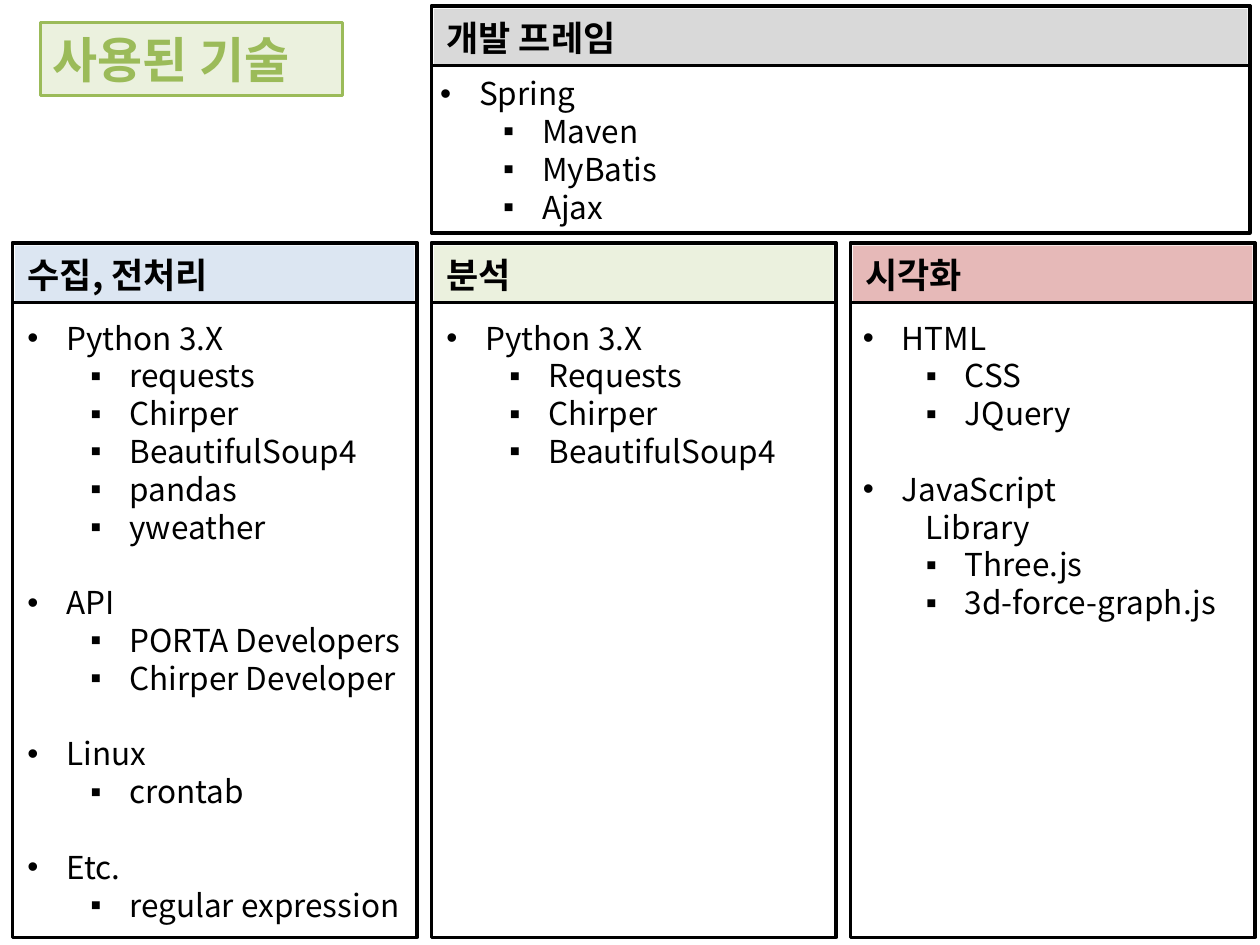
from dataclasses import dataclass

from lxml import etree
from pptx import Presentation
from pptx.dml.color import RGBColor
from pptx.enum import shapes, text
from pptx.oxml import ns
from pptx.util import Inches, Pt

FONT = "Noto Sans CJK KR"
BLACK = RGBColor(0x00, 0x00, 0x00)
GREEN = RGBColor(0x9B, 0xBB, 0x59)
PALE_GREEN = RGBColor(0xEB, 0xF1, 0xDE)
PALE_BLUE = RGBColor(0xDC, 0xE6, 0xF2)
PALE_RED = RGBColor(0xE6, 0xB9, 0xB8)
GREY = RGBColor(0xD9, 0xD9, 0xD9)

# Three columns and two rows of panels, in inches
MARGIN = 0.1
COLUMN_WIDTH = 3.21
COLUMN_STEP = 3.325
ROW_TOPS = (0.05, 1.93)
ROW_HEIGHTS = (1.8, 5.51)
HEADER_HEIGHT = 0.47
INSET = 0.02
LINE_PITCH = Pt(21.6)


@dataclass(frozen=True)
class Level:
    depth: int
    margin: float
    hanging: float
    bullet: str


TOPIC = Level(0, 0.31, 0.31, "•")
ITEM = Level(1, 0.81, 0.31, "▪")
CONTINUED = Level(1, 0.5, 0, "")


@dataclass(frozen=True)
class Group:
    topic: str
    items: tuple[str, ...]
    continued: str = ""

    def lines(self) -> list[tuple[str, Level]]:
        lines = [(self.topic, TOPIC)]
        if self.continued:
            lines.append((self.continued, CONTINUED))
        return lines + [(item, ITEM) for item in self.items]


@dataclass(frozen=True)
class Panel:
    heading: str
    color: RGBColor
    column: int
    row: int
    groups: tuple[Group, ...]
    columns: int = 1
    body_shift: float = INSET
    body_gap: float = 0.08


PANELS = (
    Panel("수집, 전처리", PALE_BLUE, 0, 1, (
        Group("Python 3.X", ("requests", "Chirper", "BeautifulSoup4", "pandas", "yweather")),
        Group("API", ("PORTA Developers", "Chirper Developer")),
        Group("Linux", ("crontab",)),
        Group("Etc.", ("regular expression",)),
    )),
    Panel("분석", PALE_GREEN, 1, 1, (
        Group("Python 3.X", ("Requests", "Chirper", "BeautifulSoup4")),
    )),
    Panel("시각화", PALE_RED, 2, 1, (
        Group("HTML", ("CSS", "JQuery")),
        Group("JavaScript", ("Three.js", "3d-force-graph.js"), "Library"),
    ), body_shift=0),
    Panel("개발 프레임", GREY, 1, 0, (
        Group("Spring", ("Maven", "MyBatis", "Ajax")),
    ), columns=2, body_shift=-0.03, body_gap=0.02),
)


def format_paragraph(para, size: float, color: RGBColor, bold: bool = False) -> None:
    para.alignment = text.PP_ALIGN.LEFT
    for span in para.runs:
        span.font.name = FONT
        span.font.size = Pt(size)
        span.font.bold = bold
        span.font.color.rgb = color
        latin = span.font._element.find(ns.qn("a:latin"))
        east_asian = etree.Element(ns.qn("a:ea"), typeface=FONT)
        latin.addnext(east_asian)


def set_level(para, level: Level) -> None:
    para.level = level.depth
    properties = para._p.get_or_add_pPr()
    properties.set("marL", str(Inches(level.margin)))
    properties.set("indent", str(-Inches(level.hanging)))
    if level.bullet:
        etree.SubElement(properties, ns.qn("a:buFont"), typeface="Arial")
        etree.SubElement(properties, ns.qn("a:buChar"), char=level.bullet)
    else:
        etree.SubElement(properties, ns.qn("a:buNone"))


def add_rectangle(page, left: float, top: float, width: float, height: float,
                  fill: RGBColor | None = None):
    """Draw a filled band without outline, or an outlined frame without fill."""
    box = page.shapes.add_shape(shapes.MSO_SHAPE.RECTANGLE, Inches(left), Inches(top),
                                Inches(width), Inches(height))
    box.shadow.inherit = False
    if fill is None:
        box.fill.background()
        box.line.color.rgb = BLACK
        box.line.width = Pt(2)
    else:
        box.fill.solid()
        box.fill.fore_color.rgb = fill
        box.line.fill.background()
    return box


def add_body(page, groups: tuple[Group, ...], left: float, top: float,
             width: float, height: float) -> None:
    box = page.shapes.add_textbox(Inches(left), Inches(top), Inches(width), Inches(height))
    frame = box.text_frame
    frame.word_wrap = True
    lines = [line for group in groups for line in group.lines()]
    frame.text = "\n".join(words for words, _ in lines)
    for index, (para, (_, level)) in enumerate(zip(frame.paragraphs, lines)):
        set_level(para, level)
        para.line_spacing = LINE_PITCH
        if index and level is TOPIC:
            para.space_before = LINE_PITCH
        format_paragraph(para, 18, BLACK)


def add_panel(page, panel: Panel) -> None:
    left = MARGIN + COLUMN_STEP * panel.column
    top = ROW_TOPS[panel.row]
    width = COLUMN_WIDTH + COLUMN_STEP * (panel.columns - 1) - 0.04 * (panel.columns - 1)
    height = ROW_HEIGHTS[panel.row]

    header = add_rectangle(page, left + INSET, top + INSET, width - 2 * INSET,
                           HEADER_HEIGHT - INSET, panel.color)
    header.text_frame.text = panel.heading
    header.text_frame.vertical_anchor = text.MSO_ANCHOR.MIDDLE
    format_paragraph(header.text_frame.paragraphs[0], 20, BLACK, bold=True)

    add_rectangle(page, left, top, width, height)
    add_rectangle(page, left, top, width, HEADER_HEIGHT)

    body_offset = HEADER_HEIGHT + panel.body_gap
    add_body(page, panel.groups, left + panel.body_shift, top + body_offset,
             width - 2 * INSET, height - body_offset)


def set_title(page, words: str) -> None:
    title = page.shapes.title
    title.left, title.top = Inches(0.32), Inches(0.18)
    title.width, title.height = Inches(2.4), Inches(0.58)
    title.fill.solid()
    title.fill.fore_color.rgb = PALE_GREEN
    title.line.color.rgb = GREEN
    title.line.width = Pt(2)
    frame = title.text_frame
    frame.text = words
    frame.auto_size = text.MSO_AUTO_SIZE.NONE
    frame.vertical_anchor = text.MSO_ANCHOR.MIDDLE
    format_paragraph(frame.paragraphs[0], 28, GREEN, bold=True)


def main() -> None:
    deck = Presentation()
    deck.slide_width, deck.slide_height = Inches(10), Inches(7.5)
    page = deck.slides.add_slide(deck.slide_layouts.get_by_name("Title Only"))
    set_title(page, "사용된 기술")
    for panel in PANELS:
        add_panel(page, panel)
    deck.save("out.pptx")


if __name__ == "__main__":
    main()
